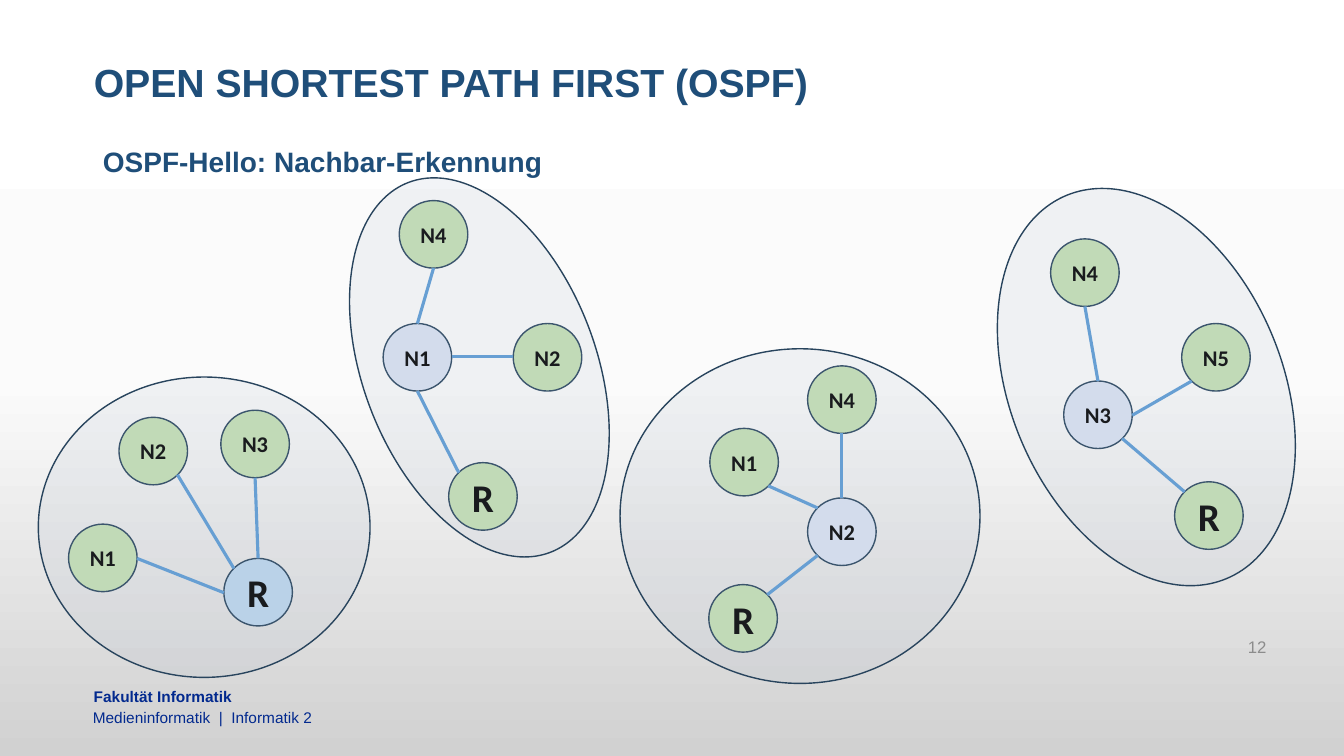
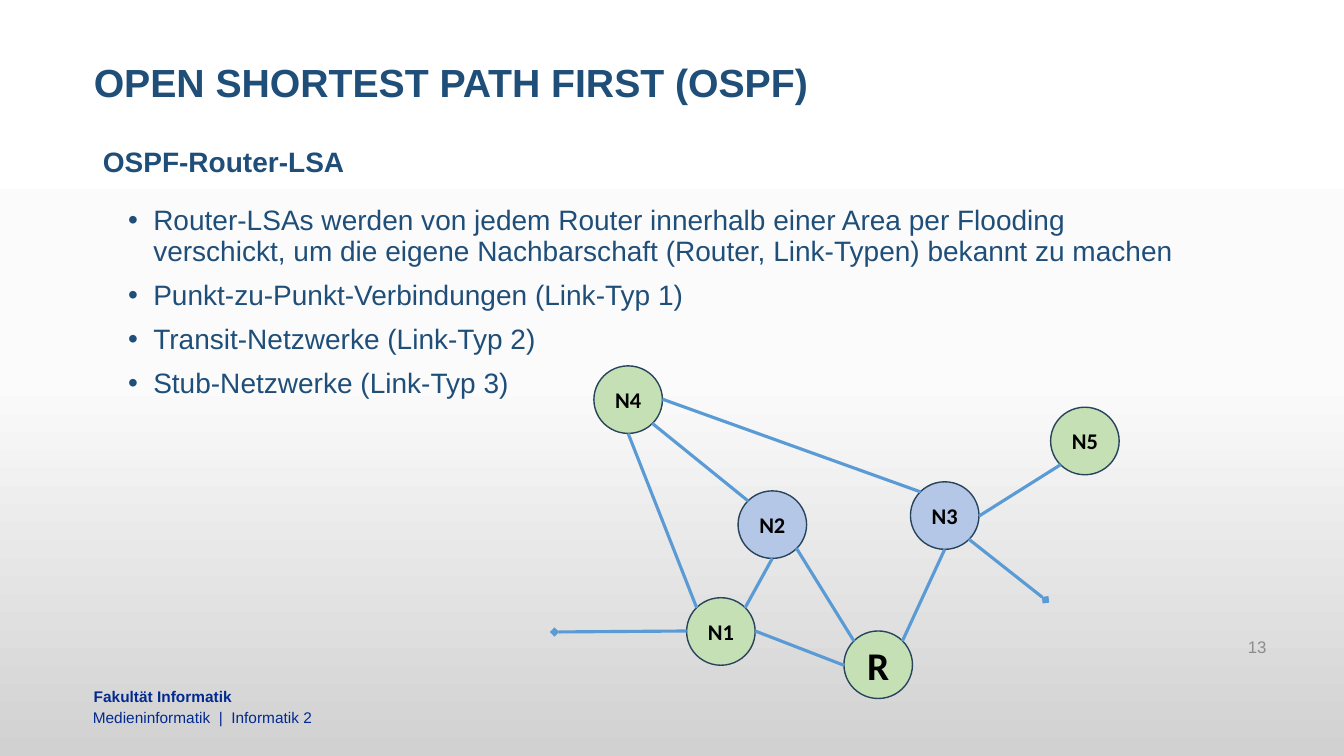
"""Build two OSPF slides about neighbour detection and router LSAs."""
from copy import deepcopy
from dataclasses import dataclass
from enum import IntEnum
from math import cos, pi, sin
from typing import Optional

from lxml import etree
from pptx import Presentation
from pptx import util as u
from pptx.dml.color import RGBColor
from pptx.enum import shapes, text
from pptx.oxml.ns import qn

PX = u.Inches(1) // 100
NODE_W, NODE_H = 68, 67
NAVY, FOOTER_BLUE, GRAY, BLACK = "1F4E79", "02298E", "8C8C8C", "000000"
GREEN, SKY, PALE, BLUE = "C5E0B4", "BDD7EE", "DAE3F3", "B4C7E7"
OUTLINE, LINK_BLUE, AREA = "28445D", "5B9BD5", "ADB9CA"
BACKGROUND = ((0, "FFFFFF"), (0.5, "FBFBFB"), (1, "D1D1D1"))
TITLE = "OPEN SHORTEST PATH FIRST (OSPF)"


class Site(IntEnum):
    """Connection sites of an ellipse, counter-clockwise from the top."""
    TOP = 0
    TOP_LEFT = 1
    LEFT = 2
    BOTTOM_LEFT = 3
    BOTTOM = 4
    BOTTOM_RIGHT = 5
    RIGHT = 6
    TOP_RIGHT = 7


@dataclass(frozen=True)
class Frame:
    """A rectangle in px."""
    x: int
    y: int
    w: int
    h: int
    rotation: float = 0


@dataclass(frozen=True)
class Node:
    """A router circle with its top left corner in px."""
    name: str
    x: int
    y: int
    fill: str = GREEN

    def point(self, site: Site) -> tuple[int, int]:
        """Return a connection site's position in px."""
        angle = site * pi / 4
        return (round(self.x + NODE_W / 2 * (1 - sin(angle))),
                round(self.y + NODE_H / 2 * (1 - cos(angle))))


@dataclass(frozen=True)
class Link:
    """A line between two named routers."""
    start: str
    start_site: Site
    end: str
    end_site: Site


@dataclass(frozen=True)
class Stub:
    """A line from a free point in px to a router."""
    x: int
    y: int
    end: str
    end_site: Site


@dataclass(frozen=True)
class Network:
    """Routers with their links, stubs and surrounding area."""
    nodes: tuple[Node, ...]
    links: tuple[Link, ...]
    stubs: tuple[Stub, ...] = ()
    area: Optional[Frame] = None


@dataclass(frozen=True)
class Page:
    """The content of one slide."""
    number: int
    heading: str
    networks: tuple[Network, ...]
    bullets: tuple[str, ...] = ()


PAGES = (
    Page(12, "OSPF-Hello: Nachbar-Erkennung", (
        Network(
            (Node("R", 222, 554, SKY), Node("N1", 68, 520),
             Node("N2", 118, 414), Node("N3", 219, 407)),
            (Link("N1", Site.RIGHT, "R", Site.LEFT),
             Link("N2", Site.BOTTOM_RIGHT, "R", Site.TOP_LEFT),
             Link("N3", Site.BOTTOM, "R", Site.TOP)),
            area=Frame(38, 374, 329, 298)),
        Network(
            (Node("N1", 380, 321, PALE), Node("R", 445, 459),
             Node("N4", 396, 199), Node("N2", 509, 321)),
            (Link("N4", Site.BOTTOM, "N1", Site.TOP),
             Link("N2", Site.LEFT, "N1", Site.RIGHT),
             Link("N1", Site.BOTTOM, "R", Site.TOP_LEFT)),
            area=Frame(360, 168, 231, 393, 339)),
        Network(
            (Node("N2", 801, 494, PALE), Node("R", 703, 580),
             Node("N1", 704, 425), Node("N4", 801, 363)),
            (Link("N2", Site.TOP_LEFT, "N1", Site.BOTTOM_RIGHT),
             Link("R", Site.TOP_RIGHT, "N2", Site.BOTTOM_LEFT),
             Link("N2", Site.TOP, "N4", Site.BOTTOM)),
            area=Frame(615, 346, 357, 332)),
        Network(
            (Node("N3", 1055, 378, PALE), Node("R", 1165, 478),
             Node("N4", 1042, 237), Node("N5", 1172, 321)),
            (Link("N3", Site.TOP, "N4", Site.BOTTOM),
             Link("N3", Site.RIGHT, "N5", Site.BOTTOM_LEFT),
             Link("R", Site.TOP_LEFT, "N3", Site.BOTTOM_RIGHT)),
            area=Frame(1002, 178, 270, 412, 337.3)),
    )),
    Page(13, "OSPF-Router-LSA", (
        Network(
            (Node("N1", 681, 593), Node("N2", 732, 487, BLUE),
             Node("N3", 903, 478, BLUE), Node("R", 837, 626),
             Node("N4", 589, 363), Node("N5", 1042, 404)),
            (Link("N1", Site.RIGHT, "R", Site.LEFT),
             Link("N2", Site.BOTTOM_RIGHT, "R", Site.TOP_LEFT),
             Link("N3", Site.BOTTOM, "R", Site.TOP_RIGHT),
             Link("N4", Site.BOTTOM, "N1", Site.TOP_LEFT),
             Link("N2", Site.BOTTOM, "N1", Site.TOP_RIGHT),
             Link("N2", Site.TOP_LEFT, "N4", Site.BOTTOM_RIGHT),
             Link("N3", Site.TOP_LEFT, "N4", Site.RIGHT),
             Link("N3", Site.RIGHT, "N5", Site.BOTTOM_LEFT)),
            (Stub(1037, 595, "N3", Site.BOTTOM_RIGHT),
             Stub(550, 627, "N1", Site.LEFT))),
    ), (
        "Router-LSAs werden von jedem Router innerhalb einer Area per Flooding "
        "verschickt, um die eigene Nachbarschaft (Router, Link-Typen) bekannt zu machen",
        "Punkt-zu-Punkt-Verbindungen (Link-Typ 1)",
        "Transit-Netzwerke (Link-Typ 2)",
        "Stub-Netzwerke (Link-Typ 3)",
    )),
)


def color(value: str) -> RGBColor:
    """Turn a hex string into a colour."""
    return RGBColor.from_string(value)


def emu(frame: Frame) -> tuple[int, int, int, int]:
    """Return the frame's position and size in EMU."""
    return frame.x * PX, frame.y * PX, frame.w * PX, frame.h * PX


def format_para(para, size: int, ink: str, bold: bool = False, font: str = "Arial",
                align=text.PP_ALIGN.LEFT) -> None:
    """Format a paragraph and its runs."""
    para.alignment = align
    for span in para.runs:
        span.font.size, span.font.bold, span.font.name = u.Pt(size), bold, font
        span.font.color.rgb = color(ink)


def fill_placeholder(box, frame: Frame, lines: tuple[str, ...], size: int,
                     bold: bool = False, bullet: bool = False) -> None:
    """Move a placeholder and set its lines."""
    box.left, box.top, box.width, box.height = emu(frame)
    box.text_frame.text = "\n".join(lines)
    box.text_frame.auto_size = text.MSO_AUTO_SIZE.NONE
    for index, para in enumerate(box.text_frame.paragraphs):
        props = para._p.get_or_add_pPr()
        indent = 25 * PX if bullet else 0
        props.set("marL", str(indent))
        props.set("indent", str(-indent))
        if bullet:
            etree.SubElement(props, qn("a:buFont"), typeface="Arial")
            etree.SubElement(props, qn("a:buChar"), char="•")
        else:
            etree.SubElement(props, qn("a:buNone"))
        para.line_spacing = 0.9
        para.space_before = u.Pt(10 if index else 0)
        format_para(para, size, NAVY, bold)


def add_label(page, frame: Frame, words: str, size: int, ink: str, bold: bool = False,
              align=text.PP_ALIGN.LEFT, inset: bool = False):
    """Add a text box with one line."""
    box = page.shapes.add_textbox(*emu(frame))
    body = box.text_frame
    body.text = words
    body.word_wrap = True
    if inset:
        body.vertical_anchor = text.MSO_ANCHOR.MIDDLE
    else:
        body.margin_left = body.margin_top = body.margin_right = body.margin_bottom = 0
    format_para(body.paragraphs[0], size, ink, bold, align=align)
    return box


def add_ellipse(page, frame: Frame, fill: str):
    """Add an outlined ellipse."""
    ellipse = page.shapes.add_shape(shapes.MSO_SHAPE.OVAL, *emu(frame))
    ellipse.rotation = frame.rotation
    ellipse.shadow.inherit = False
    ellipse.fill.solid()
    ellipse.fill.fore_color.rgb = color(fill)
    ellipse.line.color.rgb = color(OUTLINE)
    ellipse.line.width = u.Pt(1)
    return ellipse


def add_node(page, node: Node):
    """Add a labelled router circle."""
    circle = add_ellipse(page, Frame(node.x, node.y, NODE_W, NODE_H), node.fill)
    circle.text_frame.text = node.name
    circle.text_frame.vertical_anchor = text.MSO_ANCHOR.MIDDLE
    format_para(circle.text_frame.paragraphs[0], 28 if node.name == "R" else 16,
                BLACK, True, "Calibri", text.PP_ALIGN.CENTER)
    return circle


def add_area(page, frame: Frame) -> None:
    """Add a translucent neighbourhood ellipse."""
    ellipse = add_ellipse(page, frame, AREA)
    tint = ellipse._element.spPr.find(qn("a:solidFill"))[0]
    etree.SubElement(tint, qn("a:alpha"), val="15000")


def add_line(page, start: tuple[int, int], end: tuple[int, int]):
    """Add a straight link line."""
    line = page.shapes.add_connector(shapes.MSO_CONNECTOR.STRAIGHT,
                                     *(value * PX for value in start + end))
    line.line.color.rgb = color(LINK_BLUE)
    line.line.width = u.Pt(2.25)
    etree.SubElement(line._element.spPr, qn("a:effectLst"))
    return line


def join(line, tag: str, circle, site: Site) -> None:
    """Join one end of a line to a circle's connection site."""
    etree.SubElement(line._element.nvCxnSpPr.cNvCxnSpPr, qn(tag),
                     id=str(circle.shape_id), idx=str(int(site)))


def add_network(page, network: Network) -> None:
    """Draw routers, links and stubs."""
    nodes = {node.name: node for node in network.nodes}
    circles = {node.name: add_node(page, node) for node in network.nodes}
    for link in network.links:
        line = add_line(page, nodes[link.start].point(link.start_site),
                        nodes[link.end].point(link.end_site))
        join(line, "a:stCxn", circles[link.start], link.start_site)
        join(line, "a:endCxn", circles[link.end], link.end_site)
    for stub in network.stubs:
        line = add_line(page, (stub.x, stub.y), nodes[stub.end].point(stub.end_site))
        join(line, "a:endCxn", circles[stub.end], stub.end_site)
        etree.SubElement(line.line._get_or_add_ln(), qn("a:headEnd"), type="diamond")


def style_master(deck, page) -> None:
    """Give the master its gradient and footer."""
    fill = deck.slide_master.background.fill
    fill.gradient()
    fill.gradient_angle = 270
    first = fill.gradient_stops[0]._gs
    first.addnext(deepcopy(first))
    for stop, (position, value) in zip(fill.gradient_stops, BACKGROUND):
        stop.position = position
        stop.color.rgb = color(value)
    for box in (add_label(page, Frame(93, 682, 850, 20), "Fakultät Informatik",
                          11, FOOTER_BLUE, True),
                add_label(page, Frame(92, 702, 852, 19), "Medieninformatik  |  Informatik 2",
                          11, FOOTER_BLUE)):
        deck.slide_master.shapes._spTree.append(box._element)


def add_page(deck, content: Page):
    """Add one slide with its title, heading, list and networks."""
    page = deck.slides.add_slide(deck.slide_layouts[3 if content.bullets else 1])
    fill_placeholder(page.shapes.title, Frame(83, 35, 1150, 98), (TITLE,), 28, True)
    page.shapes.title.text_frame.vertical_anchor = text.MSO_ANCHOR.MIDDLE
    add_label(page, Frame(955, 622, 311, 40), str(content.number), 12, GRAY,
              align=text.PP_ALIGN.RIGHT, inset=True)
    fill_placeholder(page.placeholders[1], Frame(92, 142, 1150, 50),
                     (content.heading,), 20, True)
    if content.bullets:
        fill_placeholder(page.placeholders[2], Frame(117, 200, 1082, 210),
                         content.bullets, 20, bullet=True)
    for network in content.networks:
        add_network(page, network)
    for network in content.networks:
        if network.area:
            add_area(page, network.area)
    return page


def main() -> None:
    """Build and save the deck."""
    deck = Presentation()
    deck.slide_width, deck.slide_height = 1333 * PX, 750 * PX
    pages = [add_page(deck, content) for content in PAGES]
    style_master(deck, pages[0])
    deck.save("out.pptx")


if __name__ == "__main__":
    main()
